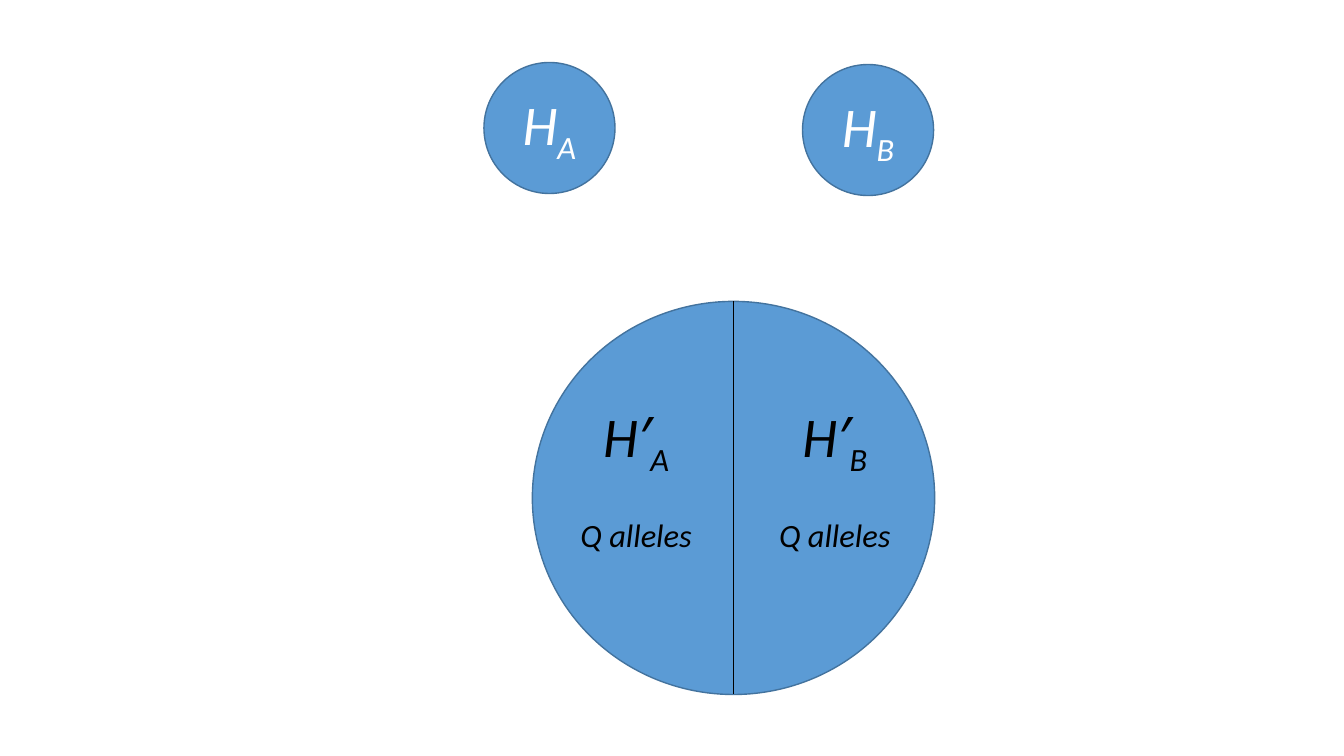
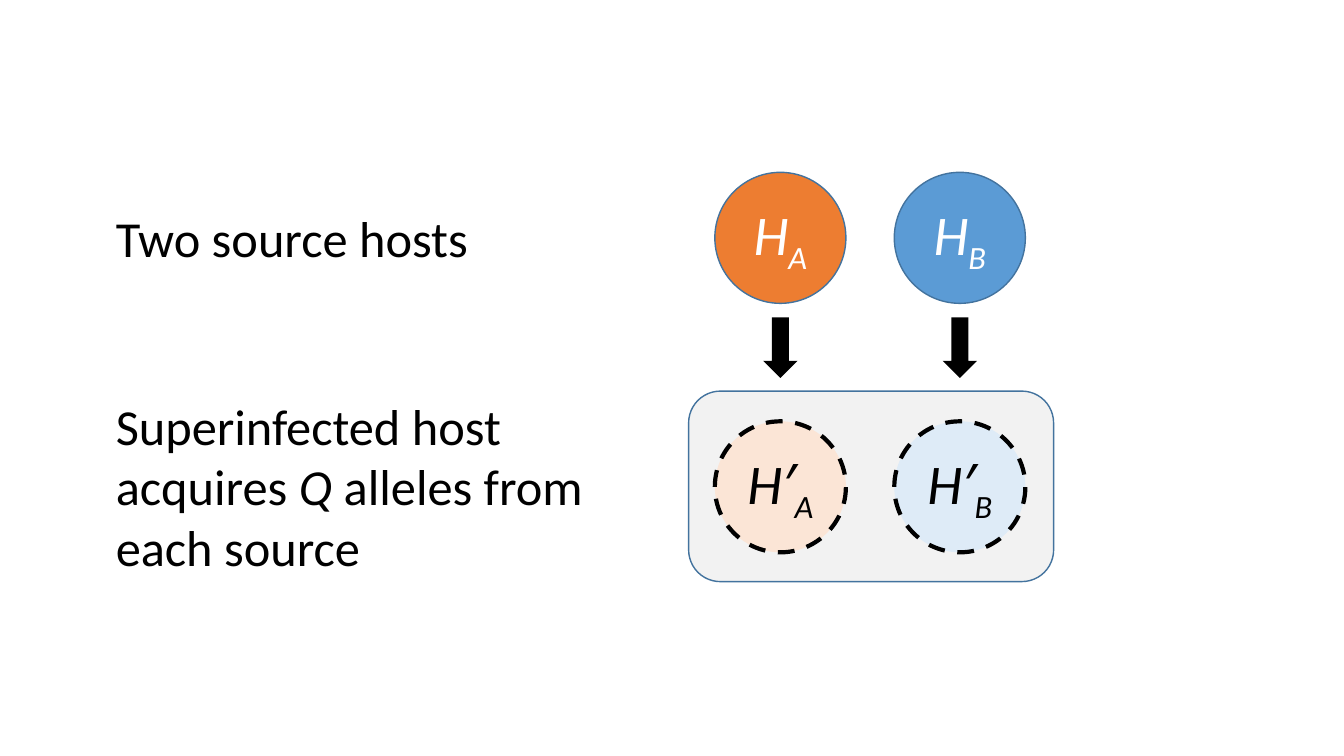
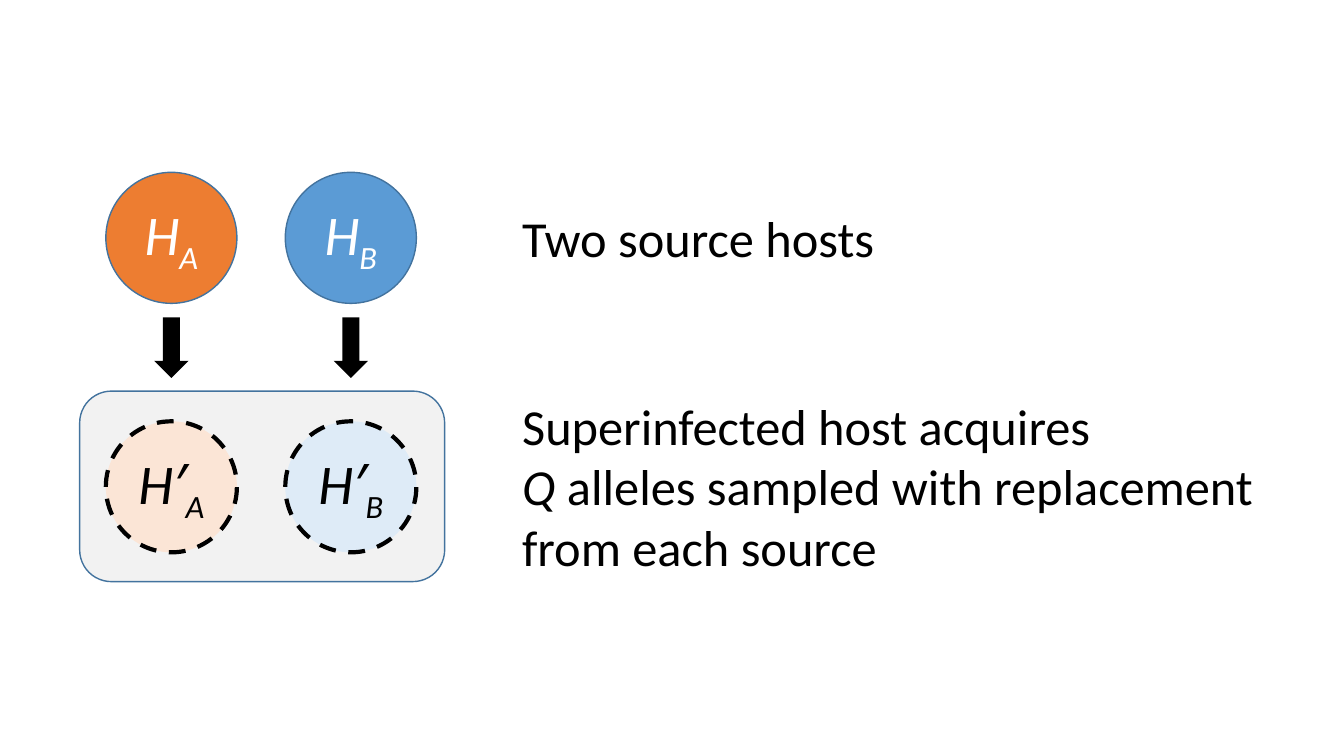
from pptx import Presentation
from pptx.dml.color import RGBColor
from pptx.enum.dml import MSO_LINE
from pptx.enum.shapes import MSO_CONNECTOR, MSO_SHAPE
from pptx.enum.text import MSO_ANCHOR, MSO_AUTO_SIZE, PP_ALIGN
from pptx.oxml.ns import qn
from pptx.util import Inches, Pt
from lxml.etree import SubElement

FONT = "Calibri"
BLACK = RGBColor(0x00, 0x00, 0x00)
WHITE = RGBColor(0xFF, 0xFF, 0xFF)
BLUE = RGBColor(0x5B, 0x9B, 0xD5)
ORANGE = RGBColor(0xED, 0x7D, 0x31)
PALE_BLUE = RGBColor(0xDE, 0xEB, 0xF7)
PALE_ORANGE = RGBColor(0xFB, 0xE5, 0xD6)
PALE_GRAY = RGBColor(0xF2, 0xF2, 0xF2)
OUTLINE = RGBColor(0x43, 0x73, 0x9E)

HOST_SIZE = 1.3
HOST_STEP = 1.78
ARROW_WIDTH = 0.34
HOSTS = [("A", ORANGE, PALE_ORANGE), ("B", BLUE, PALE_BLUE)]


def add_run(paragraph, text, size, color, italic=False, subscript=False):
    """Append one formatted run to a paragraph."""
    run = paragraph.add_run()
    run.text = text
    run.font.name = FONT
    run.font.size = Pt(size)
    run.font.color.rgb = color
    run.font.italic = italic
    if subscript:
        run._r.get_or_add_rPr().set("baseline", "-25000")


def add_figure(slide, preset, left, top, width, height, fill=None, line=None, weight=1):
    """Add a preset shape; without a fill or line colour that part stays empty."""
    shape = slide.shapes.add_shape(
        preset, Inches(left), Inches(top), Inches(width), Inches(height))
    shape.shadow.inherit = False
    if fill is None:
        shape.fill.background()
    else:
        shape.fill.solid()
        shape.fill.fore_color.rgb = fill
    if line is None:
        shape.line.fill.background()
    else:
        shape.line.color.rgb = line
        shape.line.width = Pt(weight)
    return shape


def label_host(shape, symbol, index, color, note=None):
    """Write a centred symbol with a subscript index, and a note below it."""
    frame = shape.text_frame
    frame.vertical_anchor = MSO_ANCHOR.MIDDLE
    paragraph = frame.paragraphs[0]
    paragraph.alignment = PP_ALIGN.CENTER
    add_run(paragraph, symbol, 40, color, italic=True)
    add_run(paragraph, index, 40, color, italic=True, subscript=True)
    if note:
        paragraph = frame.add_paragraph()
        paragraph.alignment = PP_ALIGN.CENTER
        add_run(paragraph, note, 40, color, italic=True, subscript=True)


def add_source_host(slide, left, top, index, fill):
    """Add a solid circle for a source host."""
    circle = add_figure(slide, MSO_SHAPE.OVAL, left, top, HOST_SIZE, HOST_SIZE, fill, OUTLINE)
    label_host(circle, "H", index, WHITE)


def add_acquired_host(slide, left, top, index, fill):
    """Add a dashed circle for the alleles acquired from a source."""
    circle = add_figure(slide, MSO_SHAPE.OVAL, left, top, HOST_SIZE, HOST_SIZE, fill, BLACK, 3)
    circle.line.dash_style = MSO_LINE.DASH
    label_host(circle, "H′", index, BLACK)


def add_divider(slide, x, top, bottom):
    """Add a thin vertical line."""
    line = slide.shapes.add_connector(
        MSO_CONNECTOR.STRAIGHT, Inches(x), Inches(top), Inches(x), Inches(bottom))
    line.line.color.rgb = BLACK
    line.line.width = Pt(0.5)
    SubElement(line._element.spPr, qn("a:effectLst"))


def add_caption(slide, left, top, width, height, paragraphs, wrap=True):
    """Add a text box from paragraphs of (text, italic) pairs."""
    box = slide.shapes.add_textbox(Inches(left), Inches(top), Inches(width), Inches(height))
    frame = box.text_frame
    frame.word_wrap = wrap
    frame.auto_size = MSO_AUTO_SIZE.SHAPE_TO_FIT_TEXT
    for number, runs in enumerate(paragraphs):
        paragraph = frame.add_paragraph() if number else frame.paragraphs[0]
        for text, italic in runs:
            add_run(paragraph, text, 36, BLACK, italic)


def add_superinfection(slide, left):
    """Draw two source hosts with arrows into one superinfected host."""
    add_figure(slide, MSO_SHAPE.ROUNDED_RECTANGLE, left, 3.88, 3.62, 1.89, PALE_GRAY, OUTLINE)
    for column, (index, strong, pale) in enumerate(HOSTS):
        host_left = left + 0.26 + column * HOST_STEP
        arrow_left = host_left + (HOST_SIZE - ARROW_WIDTH) / 2
        add_source_host(slide, host_left, 1.71, index, strong)
        add_acquired_host(slide, host_left, 4.18, index, pale)
        add_figure(slide, MSO_SHAPE.DOWN_ARROW, arrow_left, 3.15, ARROW_WIDTH, 0.6, BLACK)


def add_captions(slide, left, width, explanation):
    """Add the texts beside the source hosts and the superinfected host."""
    add_caption(slide, left, 2.01, 3.73, 0.71, [[("Two source hosts", False)]], wrap=False)
    add_caption(slide, left, 3.87, width, 1.92, explanation)


def build_divided_host(slide):
    """Show two sources above one host divided into halves."""
    add_source_host(slide, 4.8, 0.62, "A", BLUE)
    add_source_host(slide, 7.96, 0.64, "B", BLUE)
    add_figure(slide, MSO_SHAPE.OVAL, 5.28, 2.99, 3.99, 3.9, BLUE, OUTLINE)
    for index, left in (("A", 5.13), ("B", 7.1)):
        half = add_figure(slide, MSO_SHAPE.OVAL, left, 3.95, 2.36, 1.58)
        label_host(half, "H′", index, BLACK, "Q alleles")
    add_divider(slide, 7.27, 2.99, 6.89)


def build_acquisition(slide):
    """Show the captions to the left of the diagram."""
    add_superinfection(slide, 6.83)
    add_captions(slide, 1.05, 5.7, [
        [("Superinfected host acquires ", False), ("Q", True),
         (" alleles from each source", False)]])


def build_sampling(slide):
    """Show the captions to the right of the diagram."""
    add_superinfection(slide, 0.79)
    add_captions(slide, 5.08, 7.72, [
        [("Superinfected host acquires", False)],
        [("Q ", True), ("alleles sampled with replacement from each source", False)]])


def main():
    """Build and save the presentation."""
    presentation = Presentation()
    presentation.slide_width = Inches(13.33)
    presentation.slide_height = Inches(7.5)
    blank_layout = presentation.slide_layouts[6]
    for build in (build_divided_host, build_acquisition, build_sampling):
        build(presentation.slides.add_slide(blank_layout))
    presentation.save("out.pptx")


main()
